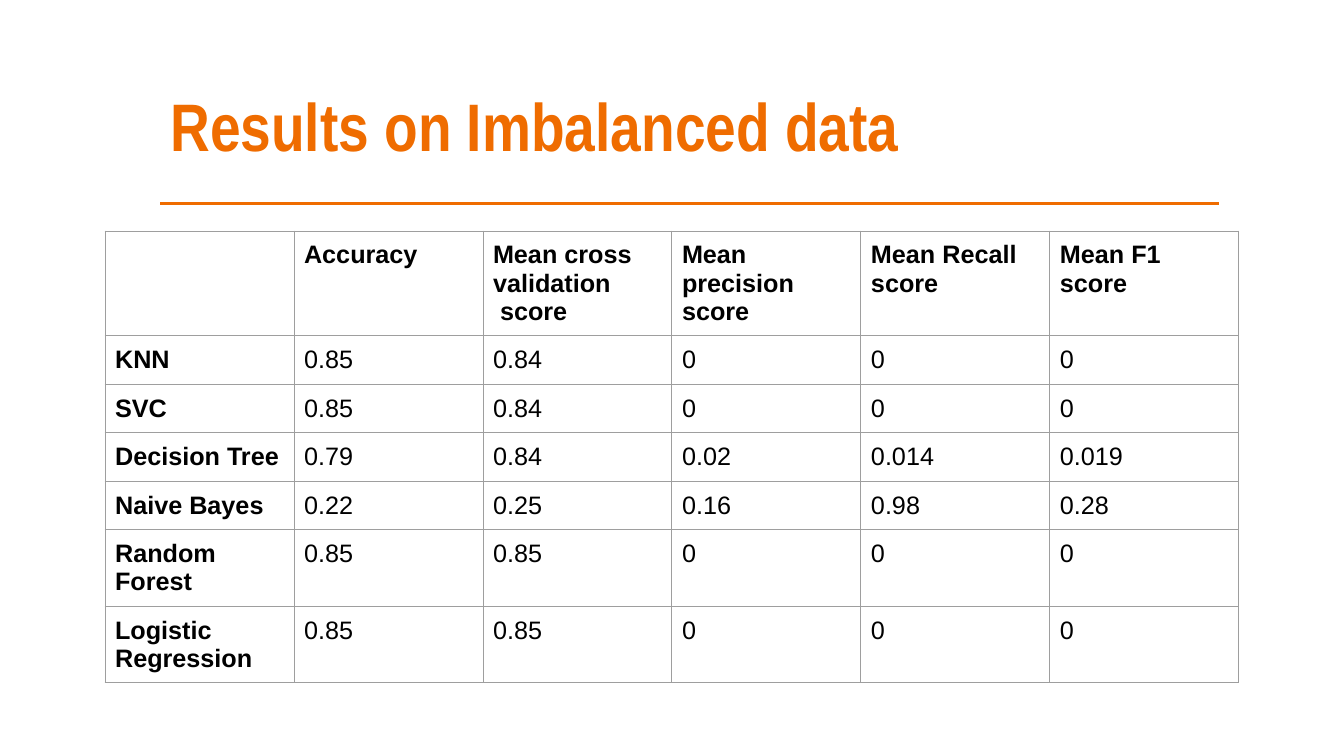
from dataclasses import dataclass

from lxml.etree import SubElement
from pptx import Presentation
from pptx.dml.color import RGBColor
from pptx.enum.shapes import MSO_CONNECTOR as Link
from pptx.enum.text import MSO_ANCHOR as Anchor, MSO_AUTO_SIZE as Fit, PP_ALIGN as Align
from pptx.oxml.ns import qn
from pptx.slide import Slide
from pptx.table import _Cell as Cell
from pptx.util import Pt

ORANGE = RGBColor(0xEF, 0x6C, 0x00)
BLACK = RGBColor(0x00, 0x00, 0x00)
GREY = RGBColor(0x9E, 0x9E, 0x9E)

LEFT = 114.5
COL_WIDTH = 135
ROW_HEIGHT = 30
PAD = 7.2


@dataclass
class Score:
    model: str
    values: tuple[str, ...]


HEADS = ("", "Accuracy", "Mean cross validation\n score", "Mean precision score",
         "Mean Recall score", "Mean F1 score")
SCORES = (
    Score("KNN", ("0.85", "0.84", "0", "0", "0")),
    Score("SVC", ("0.85", "0.84", "0", "0", "0")),
    Score("Decision Tree", ("0.79", "0.84", "0.02", "0.014", "0.019")),
    Score("Naive Bayes", ("0.22", "0.25", "0.16", "0.98", "0.28")),
    Score("Random Forest", ("0.85", "0.85", "0", "0", "0")),
    Score("Logistic Regression", ("0.85", "0.85", "0", "0", "0")),
)


def add_rule(slide: Slide) -> None:
    rule = slide.shapes.add_connector(Link.STRAIGHT, Pt(LEFT), Pt(145.4), Pt(871), Pt(145.4))
    rule.line.color.rgb = ORANGE
    rule.line.width = Pt(2.5)
    SubElement(rule._element.spPr, qn("a:effectLst"))


def set_title(slide: Slide, text: str) -> None:
    title = slide.shapes.title
    title.left, title.top, title.width, title.height = Pt(LEFT), Pt(63.4), Pt(756), Pt(82.8)
    frame = title.text_frame
    frame.auto_size = Fit.NONE
    frame.word_wrap = True
    frame.vertical_anchor = Anchor.TOP
    para = frame.paragraphs[0]
    para.alignment = Align.LEFT
    para.line_spacing = 0.9
    run = para.add_run()
    run.text = text
    font = run.font
    font.name, font.size, font.bold = "Arial Narrow", Pt(48), True
    font.color.rgb = ORANGE


def style_cell(cell: Cell) -> None:
    props = cell._tc.get_or_add_tcPr()
    for side in ("lnL", "lnR", "lnT", "lnB"):
        edge = SubElement(props, qn(f"a:{side}"), w=str(Pt(0.75)))
        fill = SubElement(edge, qn("a:solidFill"))
        SubElement(fill, qn("a:srgbClr"), val=str(GREY))
    cell.fill.background()
    cell.margin_left = cell.margin_right = cell.margin_top = cell.margin_bottom = Pt(PAD)
    cell.vertical_anchor = Anchor.TOP


def fill_cell(cell: Cell, text: str, bold: bool) -> None:
    style_cell(cell)
    frame = cell.text_frame
    for i, part in enumerate(text.split("\n") if text else ()):
        para = frame.add_paragraph() if i else frame.paragraphs[0]
        run = para.add_run()
        run.text = part
        font = run.font
        font.name, font.size, font.bold = "Arial", Pt(18), bold
        font.color.rgb = BLACK


def add_scores(slide: Slide) -> None:
    rows = [HEADS] + [(score.model, *score.values) for score in SCORES]
    table = slide.shapes.add_table(
        len(rows), len(HEADS), Pt(75), Pt(165),
        Pt(COL_WIDTH * len(HEADS)), Pt(ROW_HEIGHT * len(rows))).table
    table.first_row = table.horz_banding = False
    for r, row in enumerate(rows):
        for c, text in enumerate(row):
            fill_cell(table.cell(r, c), text, bold=r == 0 or c == 0)


def main() -> None:
    deck = Presentation()
    deck.slide_width, deck.slide_height = Pt(960), Pt(540)
    slide = deck.slides.add_slide(deck.slide_layouts[5])

    # Heading
    add_rule(slide)
    set_title(slide, "Results on Imbalanced data")

    # Score table
    add_scores(slide)

    deck.save("out.pptx")


if __name__ == "__main__":
    main()
